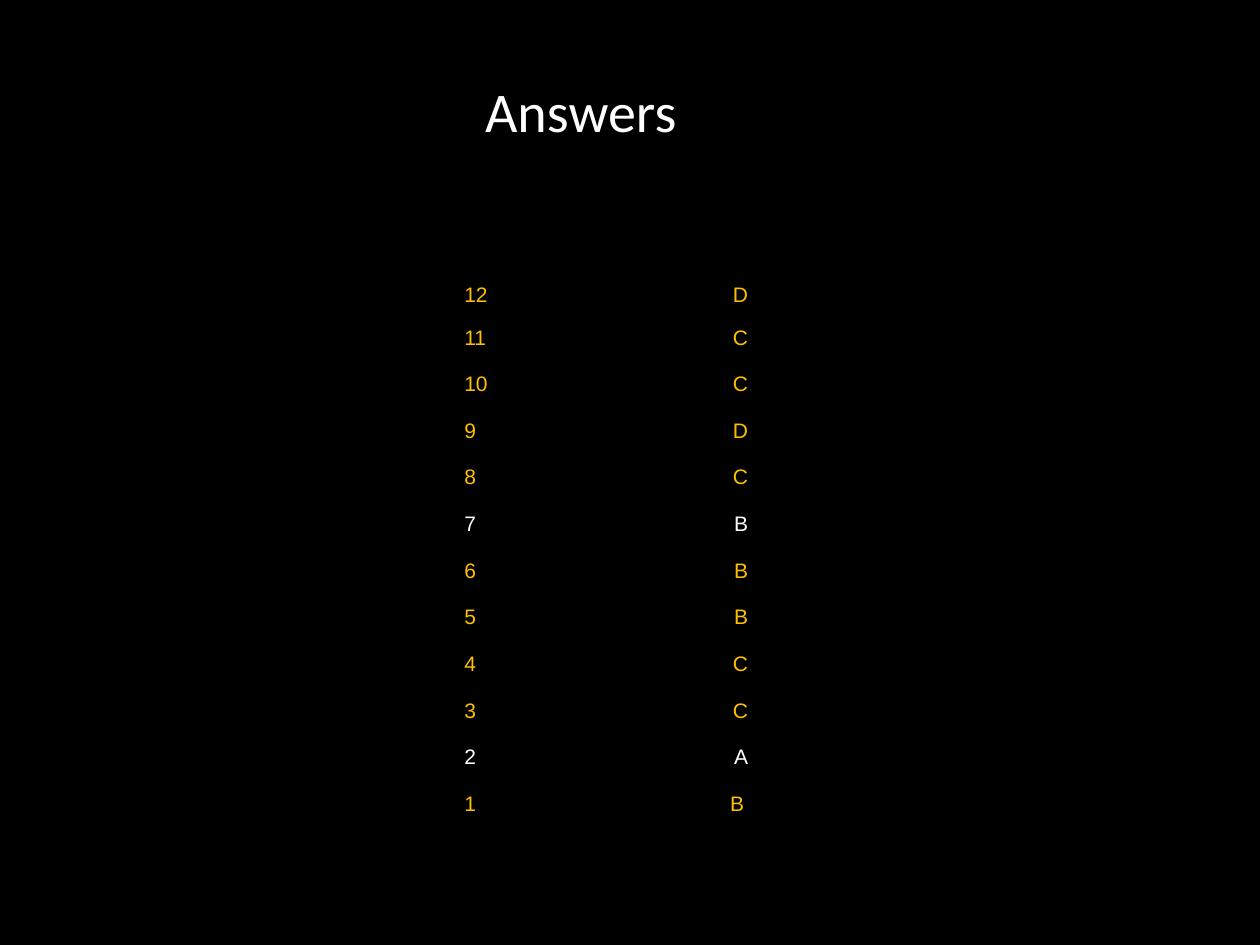
from dataclasses import dataclass

from pptx import Presentation
from pptx.dml.color import RGBColor
from pptx.enum.shapes import MSO_SHAPE
from pptx.enum.text import MSO_ANCHOR, PP_ALIGN
from pptx.util import Cm, Pt

RECTANGLE = MSO_SHAPE.RECTANGLE
LEFT, CENTER, RIGHT = PP_ALIGN.LEFT, PP_ALIGN.CENTER, PP_ALIGN.RIGHT
MIDDLE = MSO_ANCHOR.MIDDLE
TITLE_ONLY_LAYOUT = 5
NO_STYLE_NO_GRID = "{2D5ABB26-0587-4C30-8999-92F81FD0307C}"


@dataclass(frozen=True)
class Theme:
    background: RGBColor = RGBColor(0x00, 0x00, 0x00)
    text: RGBColor = RGBColor(0xFF, 0xFF, 0xFF)
    accent: RGBColor = RGBColor(0xFF, 0xC0, 0x00)
    title_font: str = "Calibri"
    body_font: str = "Arial"
    title_size: Pt = Pt(32)
    body_size: Pt = Pt(12)


THEME = Theme()
SLIDE_WIDTH, SLIDE_HEIGHT = Cm(25.4), Cm(19.05)
ANSWERS = "DCCDCBBBCCAB"  # from question 12 down to question 1
WHITE_QUESTIONS = {2, 7}
COLUMN_WIDTHS = (Cm(1.96), Cm(3.86))
END_ROW_HEIGHT, ROW_HEIGHT = Cm(0.86), Cm(0.94)
CELL_INDENT = Cm(0.1)


def fill_solid(fill, color):
    fill.solid()
    fill.fore_color.rgb = color


def format_paragraph(paragraph, font_name, size, color, alignment):
    paragraph.alignment = alignment
    paragraph.font.name = font_name
    paragraph.font.size = size
    paragraph.font.color.rgb = color


def add_backdrop(slide):
    backdrop = slide.shapes.add_shape(RECTANGLE, 0, 0, SLIDE_WIDTH, SLIDE_HEIGHT)
    backdrop.shadow.inherit = False
    fill_solid(backdrop.fill, THEME.background)
    backdrop.line.fill.background()


def set_title(slide, text):
    """Fill the title placeholder and bring it in front of the backdrop."""
    title = slide.shapes.title
    title.left, title.top = Cm(7.9), Cm(0.42)
    title.width, title.height = Cm(7.62), Cm(3.6)
    frame = title.text_frame
    frame.text = text
    frame.vertical_anchor = MIDDLE
    format_paragraph(frame.paragraphs[0], THEME.title_font, THEME.title_size,
                     THEME.text, CENTER)
    slide.shapes._spTree.append(title._element)


def fill_cell(cell, text, color, alignment, left=0, right=0):
    cell.margin_left, cell.margin_right = left, right
    cell.margin_top = cell.margin_bottom = 0
    fill_solid(cell.fill, THEME.background)
    cell.text = text
    format_paragraph(cell.text_frame.paragraphs[0], THEME.body_font,
                     THEME.body_size, color, alignment)


def add_answer_table(slide):
    count = len(ANSWERS)
    heights = [END_ROW_HEIGHT, *[ROW_HEIGHT] * (count - 2), END_ROW_HEIGHT]
    table = slide.shapes.add_table(
        count, len(COLUMN_WIDTHS), Cm(9.26), Cm(5.71),
        sum(COLUMN_WIDTHS), sum(heights)).table
    table.first_row = table.horz_banding = False
    table._tbl.tblPr.find("{*}tableStyleId").text = NO_STYLE_NO_GRID
    for column, width in zip(table.columns, COLUMN_WIDTHS):
        column.width = width
    for index, (answer, height) in enumerate(zip(ANSWERS, heights)):
        question = count - index
        table.rows[index].height = height
        color = THEME.text if question in WHITE_QUESTIONS else THEME.accent
        fill_cell(table.cell(index, 0), str(question), color, LEFT,
                  left=CELL_INDENT)
        fill_cell(table.cell(index, 1), answer, color, RIGHT,
                  right=Cm(0.08) if question == 1 else 0)
    for cell in table.rows[count - 1].cells:
        cell.fill.background()


def main():
    presentation = Presentation()
    presentation.slide_width = SLIDE_WIDTH
    presentation.slide_height = SLIDE_HEIGHT
    layout = presentation.slide_layouts[TITLE_ONLY_LAYOUT]
    slide = presentation.slides.add_slide(layout)
    add_backdrop(slide)
    add_answer_table(slide)
    set_title(slide, "Answers")
    presentation.save("out.pptx")


if __name__ == "__main__":
    main()
